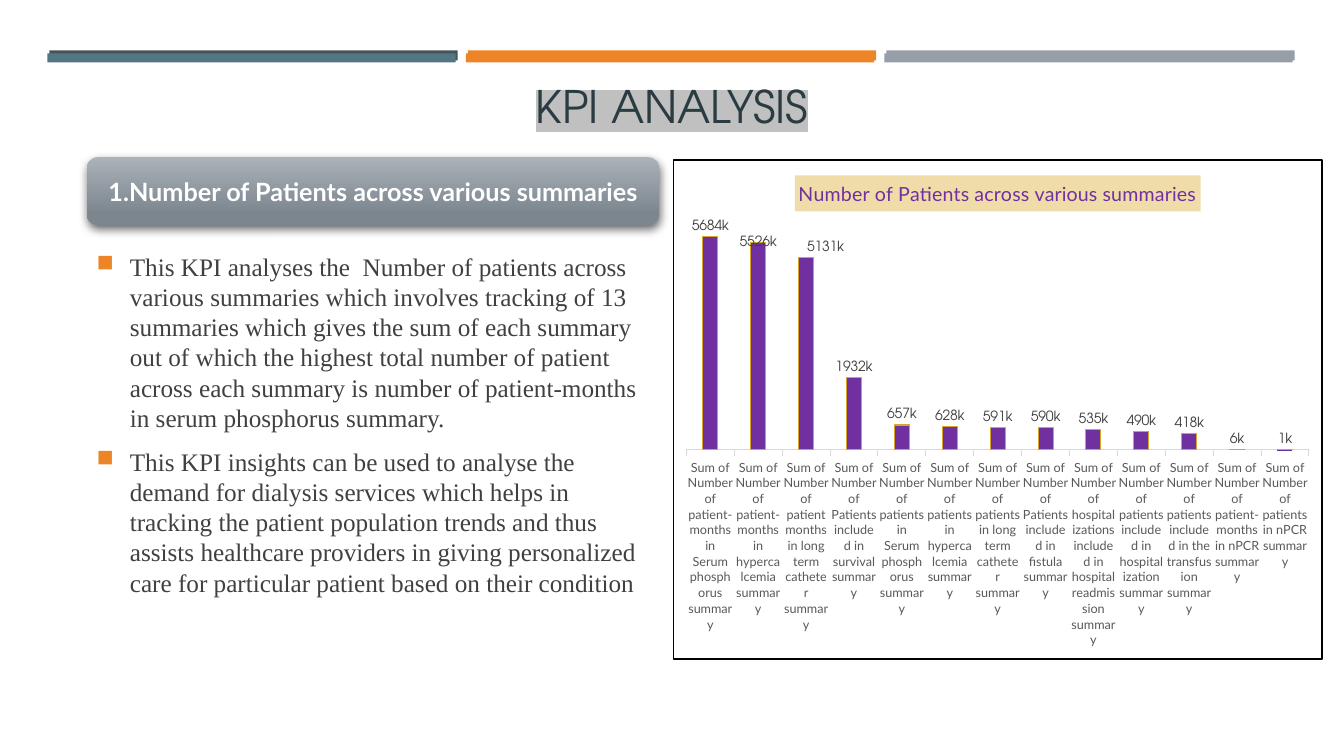
from dataclasses import dataclass

from pptx import Presentation
from pptx.chart.chart import Chart
from pptx.chart.data import CategoryChartData
from pptx.dml.color import RGBColor
from pptx.enum.chart import XL_CHART_TYPE, XL_LABEL_POSITION
from pptx.enum.shapes import MSO_SHAPE
from pptx.enum.text import MSO_ANCHOR, PP_ALIGN
from pptx.oxml import parse_xml
from pptx.oxml.ns import nsdecls, qn
from pptx.slide import Slide
from pptx.text.text import Font
from pptx.util import Inches, Pt

HEADING = "Number of Patients across various summaries"
PURPLE, ORANGE, DARK_GREY = "7030A0", "ED8428", "404040"
LABEL_FORMAT = "0,\\k"
BAR_PITCH = 4.15
BULLETS = [
    "This KPI analyses the  Number of patients across various summaries which involves "
    "tracking of 13 summaries which gives the sum of each summary out of which the highest "
    "total number of patient across each summary is number of patient-months in serum "
    "phosphorus summary.",
    "This KPI insights can be used to analyse the demand for dialysis services which helps in "
    "tracking the patient population trends and thus assists healthcare providers in giving "
    "personalized care for particular patient based on their condition",
]


@dataclass
class BarRow:
    left: float
    top: float
    height: float
    colors: tuple[str, str, str]


@dataclass
class Summary:
    subject: str
    total: int


BAR_ROWS = [
    BarRow(0.49, 0.5, 0.1, ("465359", ORANGE, "969FA7")),
    BarRow(0.47, 0.53, 0.09, ("537685", ORANGE, "969FA7")),
]
SUMMARIES = [
    Summary("patient-months in Serum phosphorus", 5684000),
    Summary("patient-months in hypercalcemia", 5526000),
    Summary("patient months in long term catheter", 5131000),
    Summary("Patients included in survival", 1932000),
    Summary("patients in Serum phosphorus", 657000),
    Summary("patients in hypercalcemia", 628000),
    Summary("patients in long term catheter", 591000),
    Summary("Patients included in fistula", 590000),
    Summary("hospitalizations included in hospital readmission", 535000),
    Summary("patients included in hospitalization", 490000),
    Summary("patients included in the transfusion", 418000),
    Summary("patient-months in nPCR", 6000),
    Summary("patients in nPCR", 1000),
]
# Label offsets by point, as fractions of the chart size
LABEL_SHIFTS = {1: (0, 0.02), 2: (0.03, 0)}


def rgb(color: str) -> RGBColor:
    return RGBColor.from_string(color)


def style_font(font: Font, name: str, size: float, color: str, bold: bool = False) -> None:
    font.name, font.size, font.bold = name, Pt(size), bold
    font.color.rgb = rgb(color)


def add_bar_row(slide: Slide, row: BarRow) -> None:
    for index, color in enumerate(row.colors):
        bar = slide.shapes.add_shape(
            MSO_SHAPE.RECTANGLE, Inches(row.left + index * BAR_PITCH), Inches(row.top),
            Inches(4.05), Inches(row.height))
        bar.shadow.inherit = False
        bar.fill.solid()
        bar.fill.fore_color.rgb = rgb(color)
        bar.line.fill.background()


def format_title(slide: Slide) -> None:
    title = slide.shapes.title
    title.left, title.top = Inches(4.65), Inches(0.72)
    title.width, title.height = Inches(4.03), Inches(1.11)
    frame = title.text_frame
    frame.text = "KPI ANALYSIS"
    frame.vertical_anchor = MSO_ANCHOR.TOP
    frame.margin_top = Inches(0.12)
    paragraph = frame.paragraphs[0]
    paragraph.alignment = PP_ALIGN.CENTER
    paragraph.line_spacing = 0.9
    style_font(paragraph.font, "TeX Gyre Adventor", 32, "2A3B42")
    paragraph.runs[0]._r.get_or_add_rPr().append(parse_xml(
        f'<a:highlight {nsdecls("a")}><a:srgbClr val="C0C0C0"/></a:highlight>'))


def add_heading(slide: Slide) -> None:
    heading = slide.shapes.add_shape(
        MSO_SHAPE.ROUNDED_RECTANGLE, Inches(0.86), Inches(1.56), Inches(5.68), Inches(0.67))
    heading.line.fill.background()
    heading.fill.gradient()
    heading.fill.gradient_angle = 270
    for stop, (position, color) in zip(
            heading.fill.gradient_stops, [(0, "ABB2B8"), (0.84, "7C868F")]):
        stop.position = position
        stop.color.rgb = rgb(color)
    heading.shadow.inherit = False
    heading.element.spPr.find(qn("a:effectLst")).append(parse_xml(
        f'<a:outerShdw {nsdecls("a")} blurRad="{Pt(7)}" dist="{Pt(3)}" dir="5040000">'
        '<a:srgbClr val="000000"><a:alpha val="60000"/></a:srgbClr></a:outerShdw>'))
    frame = heading.text_frame
    frame.text = f"1.{HEADING}"
    frame.vertical_anchor = MSO_ANCHOR.MIDDLE
    frame.paragraphs[0].alignment = PP_ALIGN.CENTER
    style_font(frame.paragraphs[0].font, "Lato", 18, "FFFFFF", bold=True)


def add_bullets(slide: Slide) -> None:
    frame = slide.shapes.add_textbox(
        Inches(0.86), Inches(2.49), Inches(5.68), Inches(4.19)).text_frame
    frame.word_wrap = True
    frame.margin_top = 0
    for index, text in enumerate(BULLETS):
        paragraph = frame.add_paragraph() if index else frame.paragraphs[0]
        paragraph.text = text
        paragraph.line_spacing = 1.0
        paragraph.space_before, paragraph.space_after = Pt(3.6), Pt(6)
        style_font(paragraph.font, "Times New Roman", 18, DARK_GREY)
        properties = paragraph._p.get_or_add_pPr()
        properties.set("marL", str(Inches(0.33)))
        properties.set("indent", str(-Inches(0.33)))
        default_font = properties.find(qn("a:defRPr"))
        for xml in (f'<a:buClr {nsdecls("a")}><a:srgbClr val="{ORANGE}"/></a:buClr>',
                    f'<a:buSzPct {nsdecls("a")} val="92000"/>',
                    f'<a:buChar {nsdecls("a")} char="■"/>'):
            default_font.addprevious(parse_xml(xml))


def manual_layout(settings: dict[str, object]):
    """Return a chart layout element; settings must follow the schema order."""
    items = "".join(f'<c:{name} val="{value}"/>' for name, value in settings.items())
    return parse_xml(
        f'<c:layout {nsdecls("c")}><c:manualLayout>{items}</c:manualLayout></c:layout>')


def area_format(color: str, line: str = "<a:ln><a:noFill/></a:ln>"):
    return parse_xml(f'<c:spPr {nsdecls("c", "a")}><a:solidFill><a:srgbClr val="{color}"/>'
                     f'</a:solidFill>{line}</c:spPr>')


def format_chart_areas(chart: Chart) -> None:
    chart.has_title = True
    chart.chart_title.text_frame.text = HEADING
    style_font(chart.chart_title.text_frame.paragraphs[0].font, "Lato", 14, PURPLE)
    space = chart.element
    space.find(".//" + qn("c:title")).append(area_format("F0DCA8"))
    border = (f'<a:ln w="{Pt(1.25)}"><a:solidFill><a:srgbClr val="000000"/>'
              '</a:solidFill></a:ln>')
    space.find(qn("c:chart")).addnext(area_format("FFFFFF", border))
    plot_area = space.find(".//" + qn("c:plotArea"))
    for layout in plot_area.findall(qn("c:layout")):
        plot_area.remove(layout)
    plot_area.insert(0, manual_layout({
        "layoutTarget": "inner", "xMode": "edge", "yMode": "edge",
        "x": 0.02, "y": 0.13, "w": 0.96, "h": 0.45}))


def format_series(chart: Chart) -> None:
    plot = chart.plots[0]
    plot.gap_width, plot.overlap, plot.vary_by_categories = 219, -27, False
    series = plot.series[0]
    series.format.fill.solid()
    series.format.fill.fore_color.rgb = rgb(PURPLE)
    series.format.line.color.rgb = rgb("D9A725")
    series.format.line.width = Pt(0.75)
    labels = series.data_labels
    labels.show_value = True
    labels.number_format, labels.number_format_is_linked = LABEL_FORMAT, False
    shifted_labels = [series.points[index].data_label for index in LABEL_SHIFTS]
    for label in [labels, *shifted_labels]:
        label.position = XL_LABEL_POSITION.OUTSIDE_END
        style_font(label.font, "TeX Gyre Adventor", 10, DARK_GREY)
    for element in chart.element.iter(qn("c:dLbl")):
        index_element = element.find(qn("c:idx"))
        x, y = LABEL_SHIFTS[int(index_element.get("val"))]
        index_element.addnext(parse_xml(
            f'<c:numFmt {nsdecls("c")} formatCode="{LABEL_FORMAT}" sourceLinked="0"/>'))
        index_element.addnext(manual_layout({"x": x, "y": y}))


def format_axes(chart: Chart) -> None:
    category_axis, value_axis = chart.category_axis, chart.value_axis
    style_font(category_axis.tick_labels.font, "Lato", 9, "595959")
    # Unrotated labels wrap under their columns
    chart.element.find(f".//{qn('c:catAx')}/{qn('c:txPr')}/{qn('a:bodyPr')}").set("rot", "0")
    category_axis.format.line.color.rgb = rgb("D9D9D9")
    category_axis.format.line.width = Pt(0.75)
    value_axis.visible = value_axis.has_major_gridlines = False
    value_axis.minimum_scale, value_axis.maximum_scale = 0, 6000000


def add_summary_chart(slide: Slide) -> None:
    data = CategoryChartData()
    data.categories = [f"Sum of Number of {item.subject} summary" for item in SUMMARIES]
    data.add_series("Series 1", [item.total for item in SUMMARIES])
    chart = slide.shapes.add_chart(
        XL_CHART_TYPE.COLUMN_CLUSTERED, Inches(6.67), Inches(1.58), Inches(6.45),
        Inches(4.97), data).chart
    chart.has_legend = False
    style_font(chart.font, "Calibri", 10, "000000")
    format_chart_areas(chart)
    format_series(chart)
    format_axes(chart)


def main() -> None:
    presentation = Presentation()
    presentation.slide_width, presentation.slide_height = Inches(13.33), Inches(7.5)
    slide = presentation.slides.add_slide(presentation.slide_layouts[5])
    for row in BAR_ROWS:
        add_bar_row(slide, row)
    format_title(slide)
    add_bullets(slide)
    add_summary_chart(slide)
    add_heading(slide)
    presentation.save("out.pptx")


if __name__ == "__main__":
    main()
